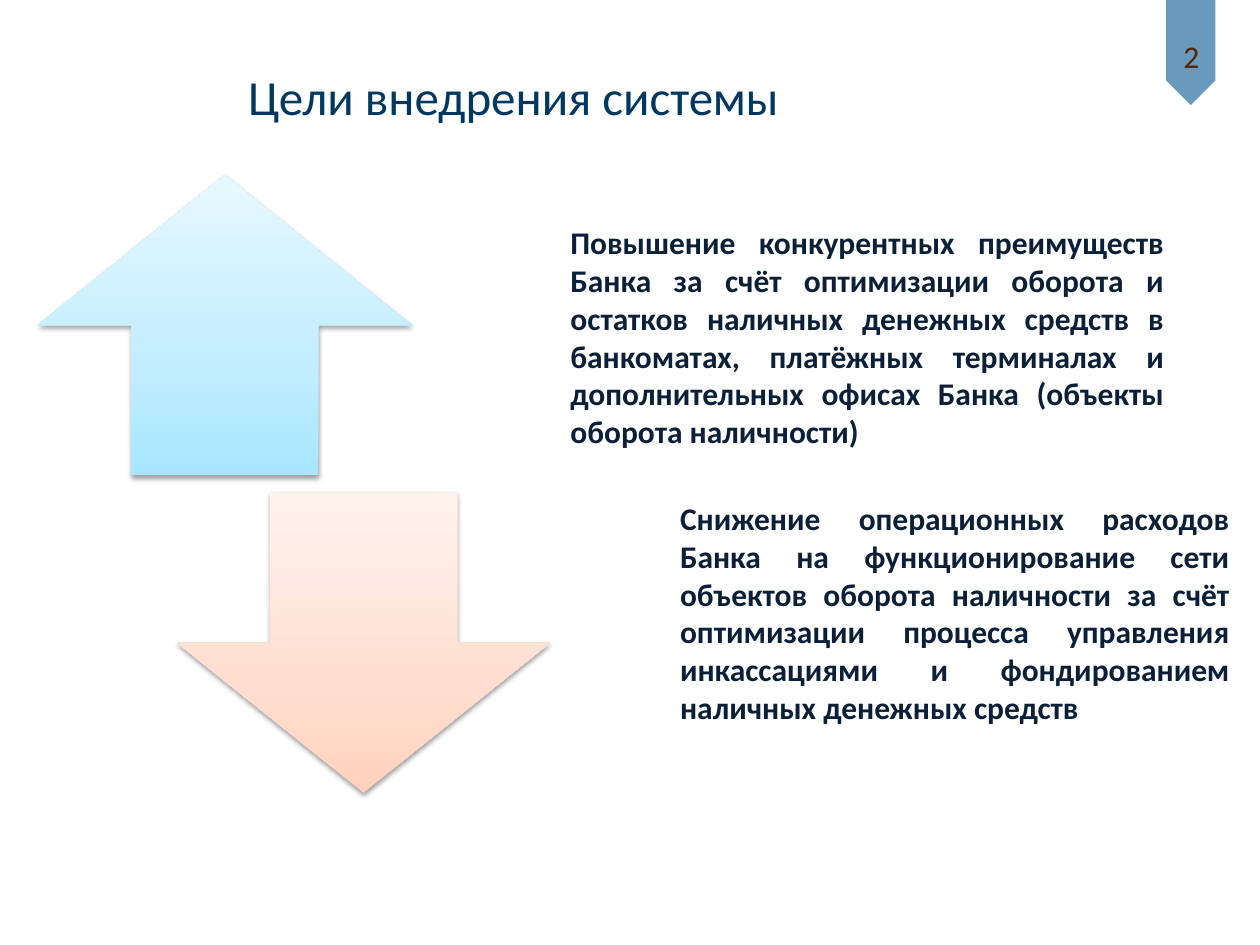
from copy import deepcopy

from lxml.etree import SubElement
from pptx import Presentation
from pptx.dml.color import RGBColor
from pptx.enum.shapes import MSO_SHAPE as Shape
from pptx.enum.text import MSO_ANCHOR as Anchor, PP_ALIGN as Align
from pptx.oxml.ns import qn
from pptx.util import Cm, Pt

THEME = {
    "font": "Calibri",
    "title": "003860", "body": "0C1F38", "number": "502604",
    "ribbon": "005490", "ribbon_alpha": 59, "shadow": "000000", "shadow_alpha": 38,
    "title_size": 28, "body_size": 18,
}
TITLE = "Цели внедрения системы"
PAGE = "2"
ARROW_SIZE = (7.54, 6.05)
STOP_POSITIONS = (0, 0.35, 1)
GOALS = [
    {
        "text": "Повышение конкурентных преимуществ Банка за счёт оптимизации оборота "
                "и остатков наличных денежных средств в банкоматах, платёжных "
                "терминалах и дополнительных офисах Банка (объекты оборота наличности)",
        "text_box": (10.69, 4.37, 12.88, 5.21),
        "arrow": Shape.UP_ARROW, "arrow_at": (0.76, 3.53),
        "gradient": ("A7E6FF", "C1EDFF", "E7F8FF"),
    },
    {
        "text": "Снижение операционных расходов Банка на функционирование сети "
                "объектов оборота наличности за счёт оптимизации процесса управления "
                "инкассациями и фондированием наличных денежных средств",
        "text_box": (12.9, 9.93, 11.99, 5.0),
        "arrow": Shape.DOWN_ARROW, "arrow_at": (3.56, 9.93),
        "gradient": ("FFD2BD", "FFDED0", "FFF2ED"),
    },
]


def cm(*values):
    return [Cm(value) for value in values]


def write(shape, text, *, color, size, bold=False, align=Align.LEFT,
          anchor=Anchor.TOP, insets=(0.25, 0.13, 0.25, 0.13), indent=0):
    frame = shape.text_frame
    frame.word_wrap = True
    frame.vertical_anchor = anchor
    (frame.margin_left, frame.margin_top,
     frame.margin_right, frame.margin_bottom) = cm(*insets)
    paragraph = frame.paragraphs[0]
    paragraph.alignment = align
    if indent:
        properties = paragraph._p.get_or_add_pPr()
        properties.set("marL", str(Cm(indent)))
        properties.set("indent", "0")
    run = paragraph.add_run()
    run.text = text
    run.font.name = THEME["font"]
    run.font.size = Pt(size)
    run.font.bold = bold
    run.font.color.rgb = RGBColor.from_string(color)


def add_plain_shape(slide, kind, box):
    shape = slide.shapes.add_shape(kind, *cm(*box))
    shape.shadow.inherit = False
    shape.line.fill.background()
    return shape


def set_alpha(color_element, percent):
    SubElement(color_element, qn("a:alpha")).set("val", str(percent * 1000))


def fill_gradient(shape, colors):
    """Fill from bottom to top with three stops."""
    shape.fill.gradient()
    shape.fill.gradient_angle = 90
    stop_list = shape._element.spPr.find(".//" + qn("a:gsLst"))
    stop_list.insert(1, deepcopy(stop_list[0]))
    for stop, position, color in zip(shape.fill.gradient_stops, STOP_POSITIONS, colors):
        stop.position = position
        stop.color.rgb = RGBColor.from_string(color)


def add_shadow(shape):
    effects = shape._element.spPr.find(qn("a:effectLst"))
    shadow = SubElement(effects, qn("a:outerShdw"), blurRad=str(Pt(3.1)),
                        dist=str(Pt(1.6)), dir="5400000", rotWithShape="0")
    color = SubElement(shadow, qn("a:srgbClr"), val=THEME["shadow"])
    set_alpha(color, THEME["shadow_alpha"])


def add_ribbon(slide):
    ribbon = add_plain_shape(slide, Shape.PENTAGON, (22.94, 0.56, 2.13, 0.99))
    ribbon.rotation = 90
    ribbon.fill.solid()
    ribbon.fill.fore_color.rgb = RGBColor.from_string(THEME["ribbon"])
    set_alpha(ribbon._element.spPr.find(".//" + qn("a:srgbClr")), THEME["ribbon_alpha"])
    number = slide.shapes.add_textbox(*cm(23.52, 0.61, 0.99, 1.02))
    write(number, PAGE, color=THEME["number"], size=THEME["body_size"],
          align=Align.CENTER)


def add_goal(slide, goal):
    arrow = add_plain_shape(slide, goal["arrow"], goal["arrow_at"] + ARROW_SIZE)
    fill_gradient(arrow, goal["gradient"])
    add_shadow(arrow)
    text_box = slide.shapes.add_textbox(*cm(*goal["text_box"]))
    write(text_box, goal["text"], color=THEME["body"], size=THEME["body_size"],
          bold=True, align=Align.JUSTIFY, insets=(0.05, 0.13, 0.1, 0.13), indent=0.76)


def main():
    presentation = Presentation()
    presentation.slide_width, presentation.slide_height = cm(25.4, 19.05)
    slide = presentation.slides.add_slide(presentation.slide_layouts[5])

    title = slide.shapes.title
    title.left, title.top, title.width, title.height = cm(0, 0.53, 25.4, 2.79)
    write(title, TITLE, color=THEME["title"], size=THEME["title_size"],
          anchor=Anchor.MIDDLE, insets=(5.0, 0.13, 1.0, 0.13))
    add_ribbon(slide)
    for goal in GOALS:
        add_goal(slide, goal)
    presentation.save("out.pptx")


if __name__ == "__main__":
    main()
